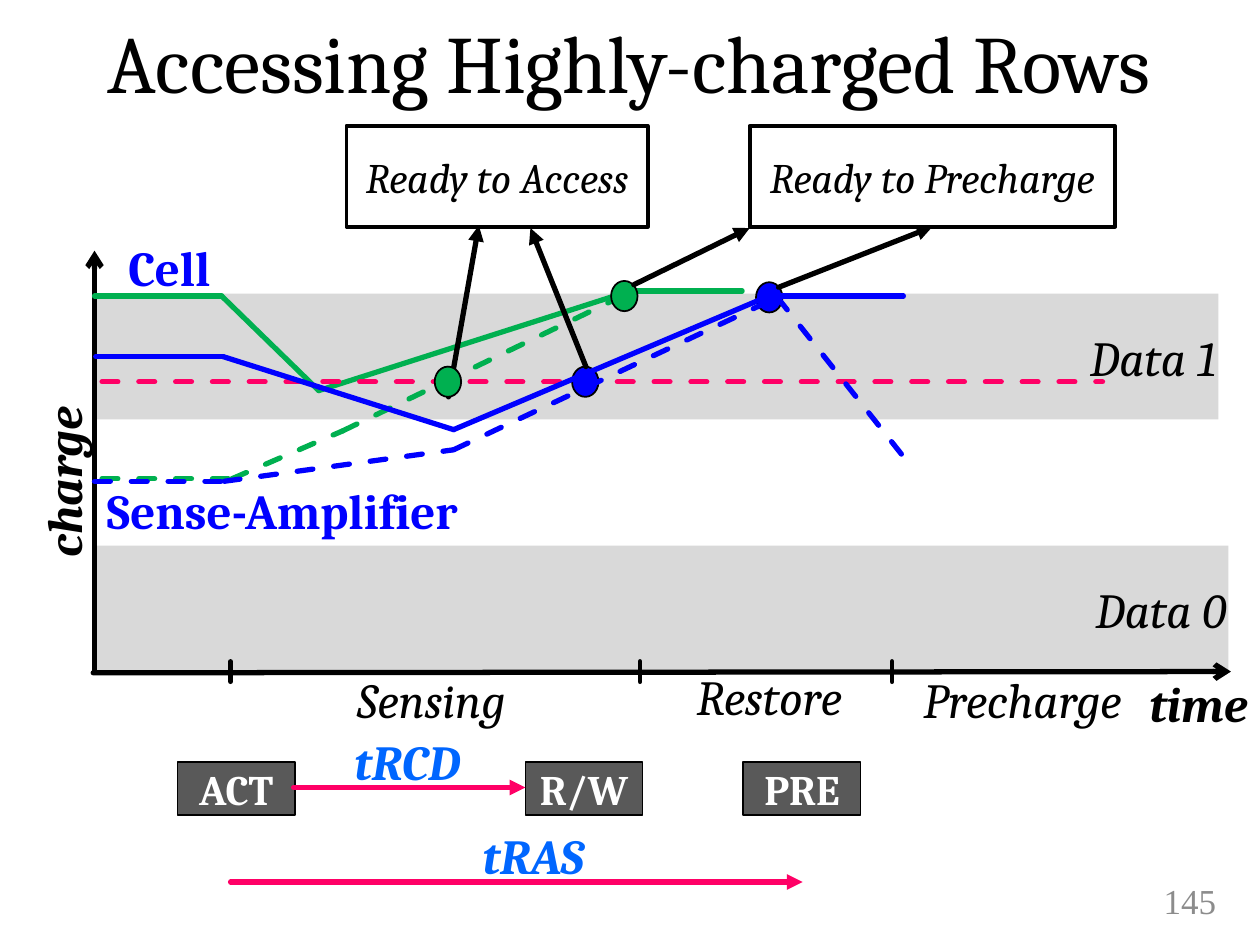
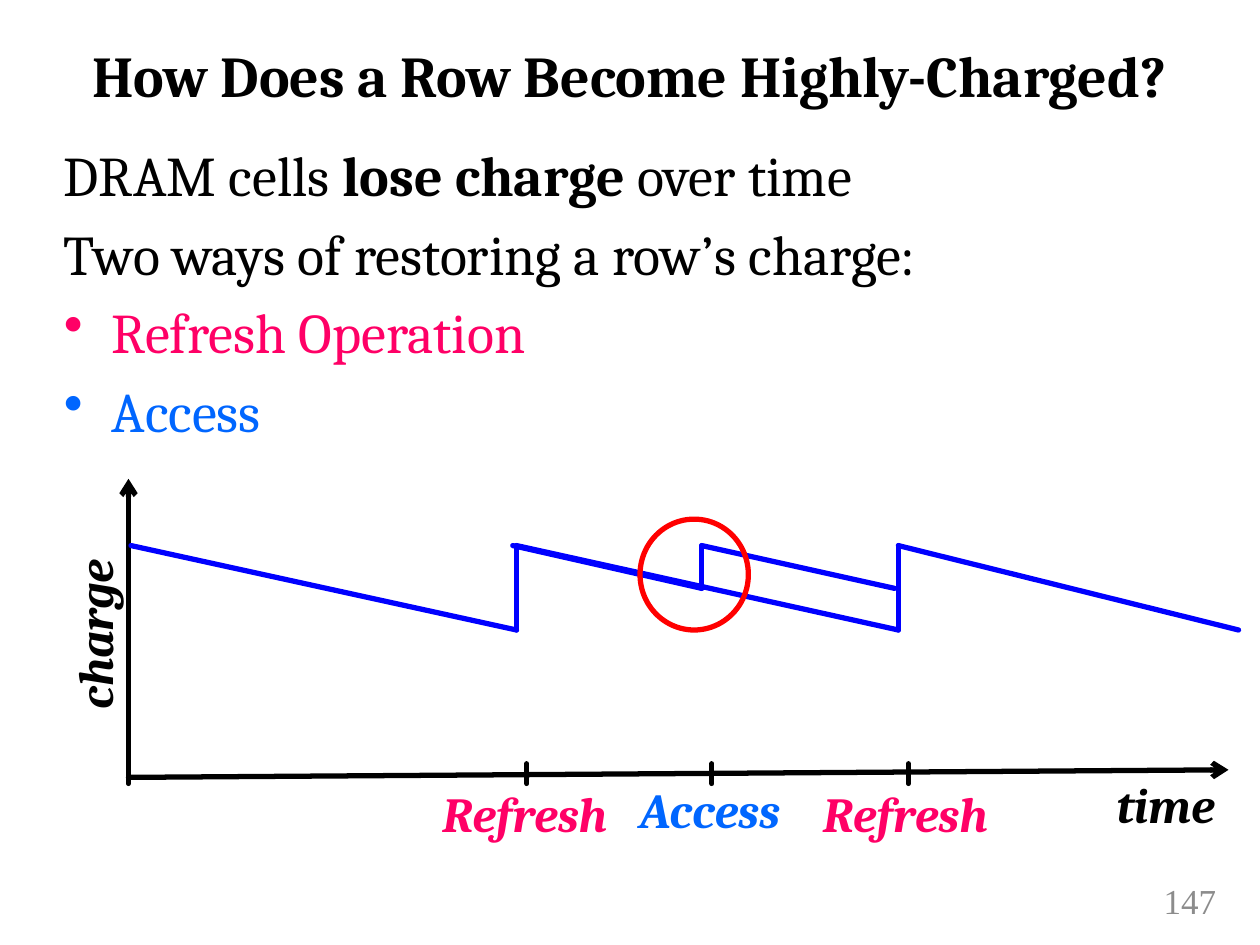
from dataclasses import dataclass
from itertools import pairwise
from typing import Optional

from lxml.etree import SubElement
from pptx import Presentation
from pptx.dml.color import RGBColor
from pptx.enum.dml import MSO_LINE
from pptx.enum.shapes import MSO_CONNECTOR, MSO_SHAPE
from pptx.enum.text import MSO_ANCHOR, MSO_AUTO_SIZE, PP_ALIGN
from pptx.oxml.ns import qn
from pptx.util import Inches, Pt

COLORS = {
    "black": "000000", "white": "FFFFFF", "band": "D9D9D9", "command": "595959",
    "number": "8C8C8C", "blue": "0000FF", "green": "00B050", "pink": "FF0066",
    "azure": "0066FF", "red": "FF0000",
}
FONT = "Cambria"
LEFT, CENTER, RIGHT = PP_ALIGN.LEFT, PP_ALIGN.CENTER, PP_ALIGN.RIGHT
DOT_W, DOT_H = 0.21, 0.24


@dataclass(frozen=True)
class Label:
    text: str
    box: tuple
    color: str = "black"
    bold: bool = True
    italic: bool = True
    align: PP_ALIGN = CENTER
    rotation: int = 0


@dataclass(frozen=True)
class Box:
    """A filled or outlined shape with optional centred text."""
    box: tuple
    fill: Optional[str] = None
    line: Optional[str] = None
    width: float = 1
    text: str = ""
    color: str = "black"
    bold: bool = False
    italic: bool = False
    shape: MSO_SHAPE = MSO_SHAPE.RECTANGLE


@dataclass(frozen=True)
class Trace:
    """A chain of straight lines through the given points."""
    points: tuple
    color: str = "black"
    width: float = 3
    dashed: bool = False
    head: Optional[str] = None


def rgb(name: str) -> RGBColor:
    return RGBColor.from_string(COLORS[name])


def add_text(p, text: str, *, size: float = 28, color: str = "black",
             bold: bool = False, italic: bool = False, font: str = FONT) -> None:
    r = p.add_run()
    r.text = text
    r.font.name, r.font.size = font, Pt(size)
    r.font.bold, r.font.italic = bold, italic
    r.font.color.rgb = rgb(color)


def add_frame(s, box: tuple, anchor=MSO_ANCHOR.MIDDLE, rotation: int = 0):
    sp = s.shapes.add_textbox(*map(Inches, box))
    sp.rotation = rotation
    tf = sp.text_frame
    tf.word_wrap = True
    tf.vertical_anchor = anchor
    return tf


def add_label(s, label: Label) -> None:
    p = add_frame(s, label.box, rotation=label.rotation).paragraphs[0]
    p.alignment = label.align
    add_text(p, label.text, color=label.color, bold=label.bold, italic=label.italic)


def add_box(s, item: Box) -> None:
    sp = s.shapes.add_shape(item.shape, *map(Inches, item.box))
    sp.shadow.inherit = False
    if item.fill:
        sp.fill.solid()
        sp.fill.fore_color.rgb = rgb(item.fill)
    else:
        sp.fill.background()
    if item.line:
        sp.line.color.rgb = rgb(item.line)
        sp.line.width = Pt(item.width)
    else:
        sp.line.fill.background()
    if item.text:
        tf = sp.text_frame
        tf.margin_left = tf.margin_right = 0
        tf.vertical_anchor = MSO_ANCHOR.MIDDLE
        p = tf.paragraphs[0]
        p.alignment = CENTER
        add_text(p, item.text, size=24, color=item.color,
                 bold=item.bold, italic=item.italic)


def add_trace(s, trace: Trace) -> None:
    for start, end in pairwise(trace.points):
        cxn = s.shapes.add_connector(MSO_CONNECTOR.STRAIGHT,
                                     *map(Inches, (*start, *end)))
        cxn.line.color.rgb = rgb(trace.color)
        cxn.line.width = Pt(trace.width)
        if trace.dashed:
            cxn.line.dash_style = MSO_LINE.DASH
        props = cxn._element.spPr
        ln = props.find(qn("a:ln"))
        ln.set("cap", "rnd")
        if trace.head:
            SubElement(ln, qn("a:tailEnd"), type=trace.head)
        SubElement(props, qn("a:effectLst"))


DRAW = {Label: add_label, Box: add_box, Trace: add_trace}


def draw(s, *items) -> None:
    for item in items:
        DRAW[type(item)](s, item)


def add_slide(prs, title: str, number: int, *, size: float, bold: bool = False):
    """Add a slide with its title and its page number."""
    s = prs.slides.add_slide(prs.slide_layouts[5])
    sp = s.shapes.title
    sp.left, sp.top, sp.width, sp.height = map(Inches, (0.41, 0.07, 9.17, 0.83))
    tf = sp.text_frame
    tf.auto_size = MSO_AUTO_SIZE.NONE
    tf.vertical_anchor = MSO_ANCHOR.BOTTOM
    p = tf.paragraphs[0]
    p.alignment, p.line_spacing = CENTER, 0.7
    add_text(p, title, size=size, bold=bold)

    p = add_frame(s, (9, 6.95, 0.75, 0.4)).paragraphs[0]
    p.alignment = RIGHT
    add_text(p, str(number), size=20, color="number", font="Times New Roman")
    return s


def add_axes(s, time: tuple, charge: tuple, time_box: tuple, charge_box: tuple,
             ticks: tuple, tick_top: float) -> None:
    draw(s, Trace(time, head="arrow"), Trace(charge, head="arrow"),
         Label("time", time_box, align=RIGHT),
         Label("charge", charge_box, rotation=270))
    for x in ticks:
        draw(s, Trace(((x, tick_top), (x, tick_top + 0.16)), width=2.75))


def dot(x: float, y: float, color: str) -> Box:
    return Box((x, y, DOT_W, DOT_H), color, "black", shape=MSO_SHAPE.OVAL)


def arrow(start: tuple, end: tuple, color: str = "black") -> Trace:
    return Trace((start, end), color, head="triangle")


def add_bullet(p, color: str) -> None:
    props = p._p.get_or_add_pPr()
    indent = Inches(0.38)
    props.set("marL", str(indent))
    props.set("indent", str(-indent))
    SubElement(SubElement(props, qn("a:buClr")), qn("a:srgbClr"), val=COLORS[color])
    SubElement(props, qn("a:buChar"), char="•")


def build_access_slide(prs) -> None:
    s = add_slide(prs, "Accessing Highly-charged Rows", 145, size=46.5)
    for name, y, width, right in (("Data 0", 4.33, 9, 9.83), ("Data 1", 2.33, 8.92, 9.75)):
        draw(s, Box((0.75, y, width, 1), "band"),
             Label(name, (right - 1.97, y, 1.97, 1), bold=False, align=RIGHT))
    add_axes(s, ((0.74, 5.34), (9.77, 5.33)), ((0.75, 5.33), (0.75, 1.99)),
             (8.58, 5.33, 1.42, 0.5), (-1, 3.58, 3, 0.49), (1.83, 5.08, 7.08), 5.25)
    for name, box in (("Cell", (0.92, 1.88, 0.9, 0.47)),
                      ("Sense-Amplifier", (0.75, 3.81, 3.12, 0.47))):
        draw(s, Label(name, box, "blue", italic=False, align=LEFT))
    for phase, box in (("Sensing", (2.67, 5.34, 1.44, 0.41)),
                       ("Restore", (5.34, 5.32, 1.44, 0.41)),
                       ("Precharge", (7.05, 5.34, 1.95, 0.41))):
        draw(s, Label(phase, box, bold=False, align=RIGHT))

    draw(s,
         Trace(((0.75, 2.35), (1.76, 2.35), (2.53, 3.1), (5, 2.31), (5.89, 2.31)), "green"),
         Trace(((0.81, 3.8), (1.84, 3.8), (2.72, 3.42), (5, 2.32)), "green", dashed=True),
         Trace(((0.81, 3.03), (8.75, 3.03)), "pink", dashed=True))

    for command, x in (("ACT", 1.41), ("R/W", 4.17), ("PRE", 5.9)):
        draw(s, Box((x, 6.05, 0.93, 0.42), "command", "black",
                    text=command, color="white", bold=True))
    for name, x, y, start, end in (("tRCD", 2.64, 6.25, 2.33, 4.17),
                                   ("tRAS", 3.64, 7, 1.83, 6.37)):
        draw(s, arrow((start, y), (end, y), "pink"),
             Label(name, (x, y - 0.42, 1.19, 0.41), "azure"))

    for text, x, width in (("Ready to Access", 2.75, 2.39), ("Ready to Precharge", 5.95, 2.9)):
        draw(s, Box((x, 1, width, 0.8), line="black", width=2.25, text=text, italic=True))
    draw(s,
         dot(4.54, 2.91, "blue"), dot(6, 2.24, "blue"),
         arrow((4.65, 2.91), (4.21, 1.81)), arrow((6.18, 2.28), (7.4, 1.8)),
         arrow((3.56, 3.15), (3.8, 1.79)),
         dot(4.85, 2.23, "green"), dot(3.45, 2.91, "green"),
         arrow((5.03, 2.26), (5.95, 1.81)),
         Trace(((0.76, 2.83), (1.77, 2.83), (3.6, 3.41), (6.1, 2.35), (7.17, 2.35)), "blue"),
         Trace(((0.75, 3.82), (1.78, 3.82), (3.6, 3.57), (6.17, 2.36), (7.23, 3.7)),
               "blue", dashed=True))


def build_restore_slide(prs) -> None:
    s = add_slide(prs, "How Does a Row Become Highly-Charged?", 147, size=33, bold=True)
    tf = add_frame(s, (0.41, 1.07, 7.86, 2.64), MSO_ANCHOR.TOP)
    p = tf.paragraphs[0]
    for text, bold in (("DRAM cells ", False), ("lose charge ", True), ("over time", False)):
        add_text(p, text, size=32, bold=bold)
    for text, color, bulleted in (("Two ways of restoring a row’s charge:", "black", False),
                                  ("Refresh Operation", "pink", True),
                                  ("Access", "azure", True)):
        p = tf.add_paragraph()
        p.space_before = Pt(6.4)
        if bulleted:
            add_bullet(p, color)
        add_text(p, text, size=32, color=color)

    add_axes(s, ((1.02, 6.17), (9.75, 6.11)), ((1.02, 6.13), (1.02, 3.8)),
             (8.32, 6.13, 1.42, 0.5), (-0.13, 4.79, 1.75, 0.49),
             (1.02, 4.18, 5.65, 7.21), 6.06)
    for text, x, y, color in (("Refresh", 3.08, 6.18, "pink"), ("Access", 4.55, 6.15, "azure"),
                              ("Refresh", 6.1, 6.18, "pink")):
        draw(s, Label(text, (x, y, 2.17, 0.54), color))

    high, low, middle = 4.33, 5, 4.67
    draw(s,
         Trace(((1.04, high), (4.1, low), (4.1, high), (7.13, low), (7.13, high),
                (9.83, low)), "blue"),
         Trace(((4.07, high), (5.57, middle), (5.57, high), (7.1, middle)), "blue"),
         Box((5.08, 4.12, 0.86, 0.88), line="red", width=3, shape=MSO_SHAPE.OVAL))


def main() -> None:
    prs = Presentation()
    prs.slide_width, prs.slide_height = Inches(10), Inches(7.5)
    build_access_slide(prs)
    build_restore_slide(prs)
    prs.save("out.pptx")


if __name__ == "__main__":
    main()
